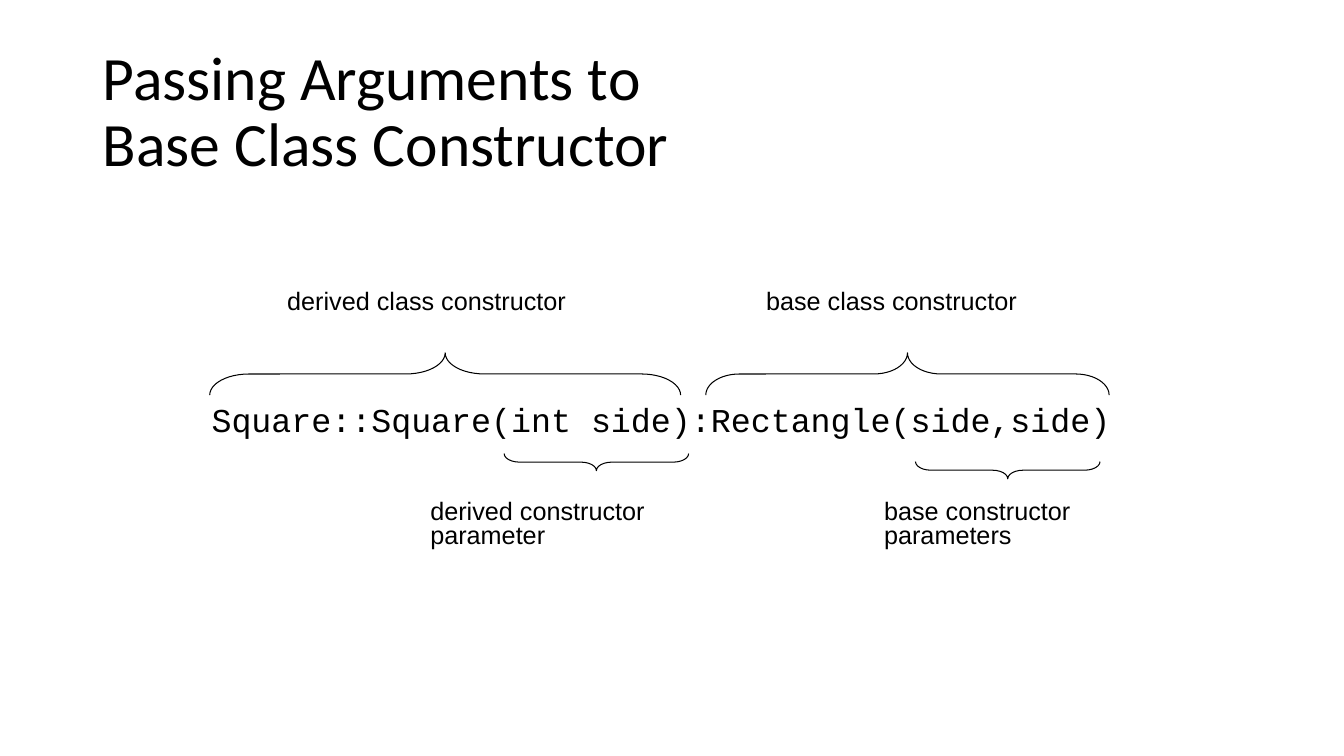
from dataclasses import dataclass

from pptx import Presentation
from pptx.dml.color import RGBColor
from pptx.enum.shapes import MSO_SHAPE as SHAPE
from pptx.enum.text import MSO_ANCHOR as ANCHOR, MSO_AUTO_SIZE as AUTO
from pptx.util import Inches, Pt


@dataclass(frozen=True)
class Theme:
    """Colours, fonts and sizes of the slide."""
    ink: RGBColor = RGBColor(0, 0, 0)
    paper: RGBColor = RGBColor(255, 255, 255)
    title_font: str = "Calibri"
    code_font: str = "Courier New"
    label_font: str = "Arial"
    title_size: float = 44
    code_size: float = 23.8
    label_size: float = 18
    brace_line: float = 0.75


T = Theme()


def add_text(s, box, lines, font, size, spacing=1.0, before=0, wrap=True,
             anchor=ANCHOR.TOP, auto=AUTO.NONE):
    """Place one paragraph of text, with breaks between its lines."""
    tf = s.shapes.add_textbox(*map(Inches, box)).text_frame
    tf.word_wrap, tf.vertical_anchor, tf.auto_size = wrap, anchor, auto
    p = tf.paragraphs[0]
    p.line_spacing, p.space_before = spacing, Pt(before)
    for i, line in enumerate(lines):
        if i:
            p.add_line_break()
        r = p.add_run()
        r.text = line
        r.font.name, r.font.size = font, Pt(size)
        r.font.color.rgb = T.ink


def add_brace(s, box, kind):
    """Lay a brace on its side so that it fills the given box."""
    x, y, span, depth = box
    left, top = x + (span - depth) / 2, y - (span - depth) / 2
    sp = s.shapes.add_shape(kind, *map(Inches, (left, top, depth, span)))
    sp.rotation = 90
    sp.adjustments[0] = span / (12 * depth)
    sp.adjustments[1] = 0.5
    sp.shadow.inherit = False
    sp.fill.background()
    sp.line.color.rgb = T.ink
    sp.line.width = Pt(T.brace_line)


def add_title(s, box):
    """Place the two-line title."""
    add_text(s, box, ["Passing Arguments to", "Base Class Constructor"],
             T.title_font, T.title_size, spacing=0.9, anchor=ANCHOR.MIDDLE)


def add_diagram(s, box):
    """Place the code line with the braces and labels around it."""
    x, y, w, h = box
    add_text(s, box, ["Square::Square(int side):Rectangle(side,side)"],
             T.code_font, T.code_size, spacing=0.75, before=10)

    for dx, span in ((0.08, 4.67), (5, 4)):
        add_brace(s, (x + dx, y - 0.5, span, 0.42), SHAPE.LEFT_BRACE)
    for dx, dy in ((7.08, 0.08), (3, 0)):
        add_brace(s, (x + dx, y + h + dy, 1.83, 0.17), SHAPE.RIGHT_BRACE)

    for dx, width, label in ((0.75, 2.99, "derived class constructor"),
                             (5.5, 2.71, "base class constructor")):
        add_text(s, (x + dx, y - 1.22, width, 0.4), [label], T.label_font,
                 T.label_size, wrap=False, auto=AUTO.SHAPE_TO_FIT_TEXT)
    for dx, width, label in ((2.17, 3.33, "derived constructor parameter"),
                             (6.67, 2.75, "base constructor parameters")):
        add_text(s, (x + dx, y + 0.92, width, 0.59), [label], T.label_font,
                 T.label_size, spacing=0.8, auto=AUTO.SHAPE_TO_FIT_TEXT)


def main():
    """Build the slide and save it."""
    prs = Presentation()
    prs.slide_width, prs.slide_height = Inches(13.33), Inches(7.5)
    s = prs.slides.add_slide(prs.slide_layouts[6])
    s.background.fill.solid()
    s.background.fill.fore_color.rgb = T.paper
    add_title(s, (0.92, 0.4, 11.5, 1.45))
    add_diagram(s, (2, 4, 9.33, 0.5))
    prs.save("out.pptx")


if __name__ == "__main__":
    main()
